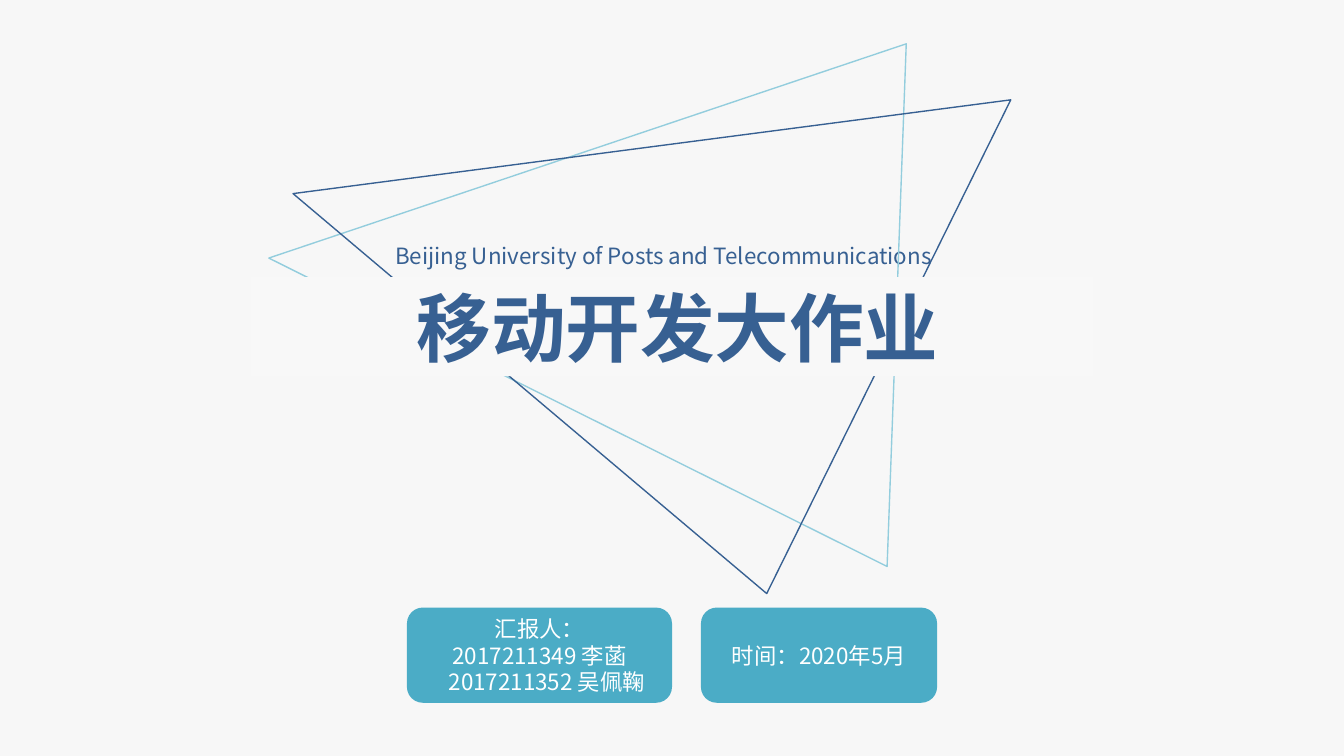
from pptx import Presentation
from pptx.dml.color import RGBColor
from pptx.enum.shapes import MSO_SHAPE as Shape
from pptx.enum.text import MSO_ANCHOR as Anchor, MSO_AUTO_SIZE as AutoSize, PP_ALIGN as Align
from pptx.oxml.ns import qn
from pptx.util import Pt
from lxml import etree

FONT = "Noto Sans CJK SC"
BACKGROUND = "F7F7F7"
BAND = "F8F8F8"
NAVY = "376092"
TEAL = "4BACC6"
PALE_TEAL = "93CDDD"
WHITE = "FFFFFF"


def color(code):
    return RGBColor.from_string(code)


def place(shape, box):
    shape.left, shape.top, shape.width, shape.height = (Pt(value) for value in box)


def write(shape, lines, size, code, align, bold=False, wrap=True):
    frame = shape.text_frame
    frame.auto_size = AutoSize.NONE
    frame.word_wrap = wrap
    frame.vertical_anchor = Anchor.MIDDLE
    for index, (text, indent) in enumerate(lines):
        para = frame.add_paragraph() if index else frame.paragraphs[0]
        para.alignment = align
        para.space_before = Pt(0)
        if indent:
            para._p.get_or_add_pPr().set("marL", str(Pt(indent)))
        span = para.add_run()
        span.text = text
        span.font.size = Pt(size)
        span.font.bold = bold
        span.font.name = FONT
        span.font.color.rgb = color(code)
        east_asian = etree.SubElement(span.font._element, qn("a:ea"))
        east_asian.set("typeface", FONT)


def add_block(page, kind, box, code):
    block = page.shapes.add_shape(kind, *(Pt(value) for value in box))
    block.shadow.inherit = False
    block.fill.solid()
    block.fill.fore_color.rgb = color(code)
    block.line.fill.background()
    return block


def add_triangle(page, box, corners, code):
    left, top, width, height = box
    points = [(Pt(left + x * width), Pt(top + y * height)) for x, y in corners]
    builder = page.shapes.build_freeform(*points[0], scale=1.0)
    builder.add_line_segments(points[1:], close=True)
    triangle = builder.convert_to_shape()
    triangle.shadow.inherit = False
    triangle.fill.background()
    triangle.line.color.rgb = color(code)
    triangle.line.width = Pt(0.75)


def add_triangles(page, box):
    left, top, width, height = box
    add_triangle(page, (left, top, 341.5, 280),
                 [(1, 0), (0, 0.41), (0.97, 1)], PALE_TEAL)
    add_triangle(page, (left + 13, top + 30, width - 13, height - 30),
                 [(0, 0.19), (1, 0), (0.66, 1)], NAVY)


def add_heading(page, box):
    left, top, width, height = box
    school = page.placeholders[1]
    place(school, (left + 116.5, top - 21, 311, 21.5))
    write(school, [("Beijing University of Posts and Telecommunications", 0)],
          12, NAVY, Align.LEFT, wrap=False)

    add_block(page, Shape.RECTANGLE, (left + 46.5, top + 1.5, 451, 53), BAND)

    title = page.shapes.title
    place(title, box)
    write(title, [("移动开发大作业", 0)], 40, NAVY, Align.CENTER, bold=True)
    page.shapes._spTree.append(title._element)


def add_labels(page, box):
    left, top, width, height = box
    gap = 15.5
    team_width = 142
    date_width = width - team_width - gap
    labels = [
        (left, team_width,
         [("汇报人：", 0), ("2017211349 李菡", 0), ("2017211352 吴佩鞠", 8)]),
        (left + team_width + gap, date_width, [("时间：2020年5月", 0)]),
    ]
    for label_left, label_width, lines in labels:
        label = add_block(page, Shape.ROUNDED_RECTANGLE,
                          (label_left, top, label_width, height), TEAL)
        write(label, lines, 12, WHITE, Align.CENTER)


def main():
    deck = Presentation()
    deck.slide_width, deck.slide_height = Pt(720), Pt(405)
    page = deck.slides.add_slide(deck.slide_layouts[0])
    page.background.fill.solid()
    page.background.fill.fore_color.rgb = color(BACKGROUND)
    add_triangles(page, (144, 23.5, 397.5, 294.5))
    add_labels(page, (218, 325.5, 284, 51))
    add_heading(page, (88, 147, 550, 55.5))
    deck.save("out.pptx")


if __name__ == "__main__":
    main()
